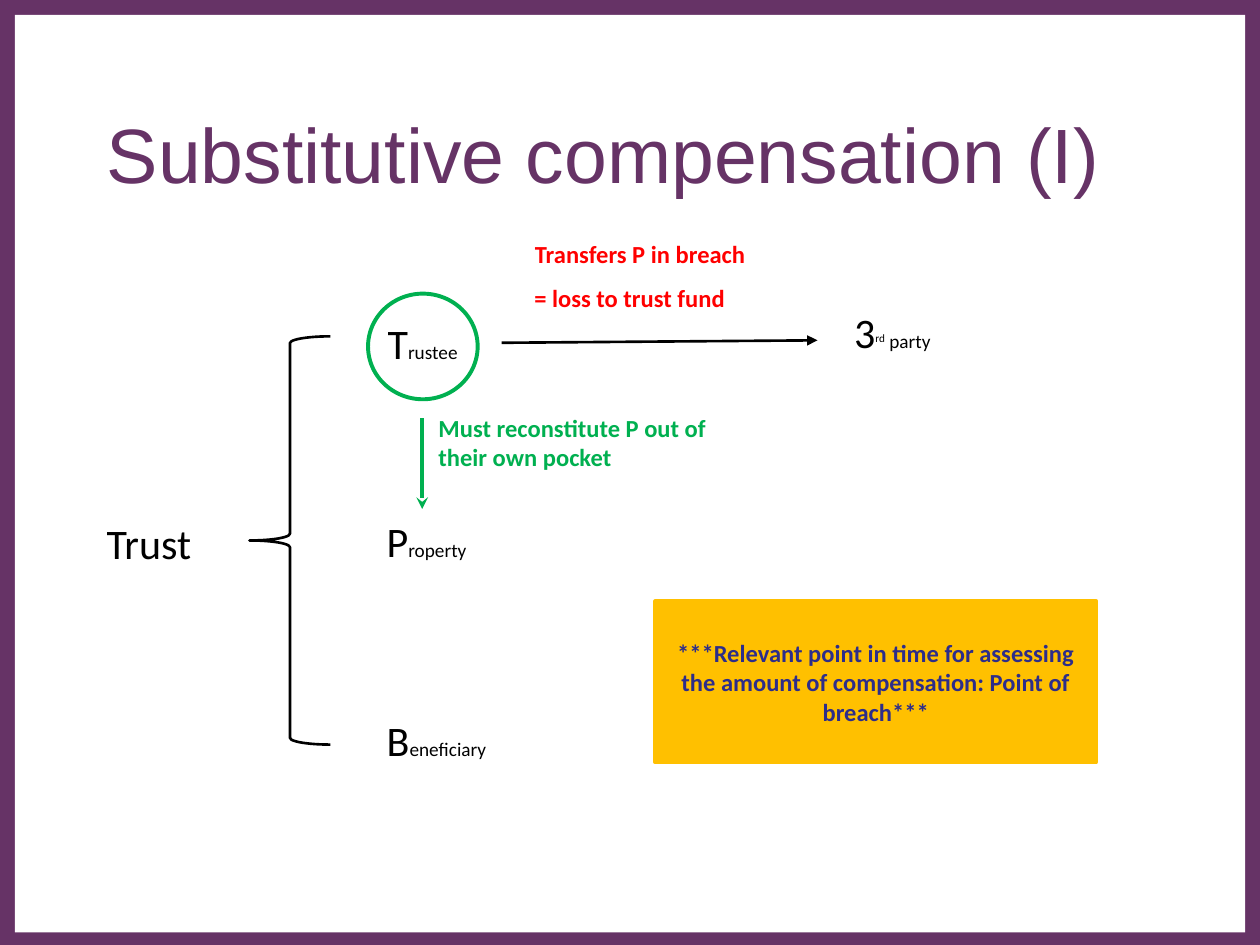
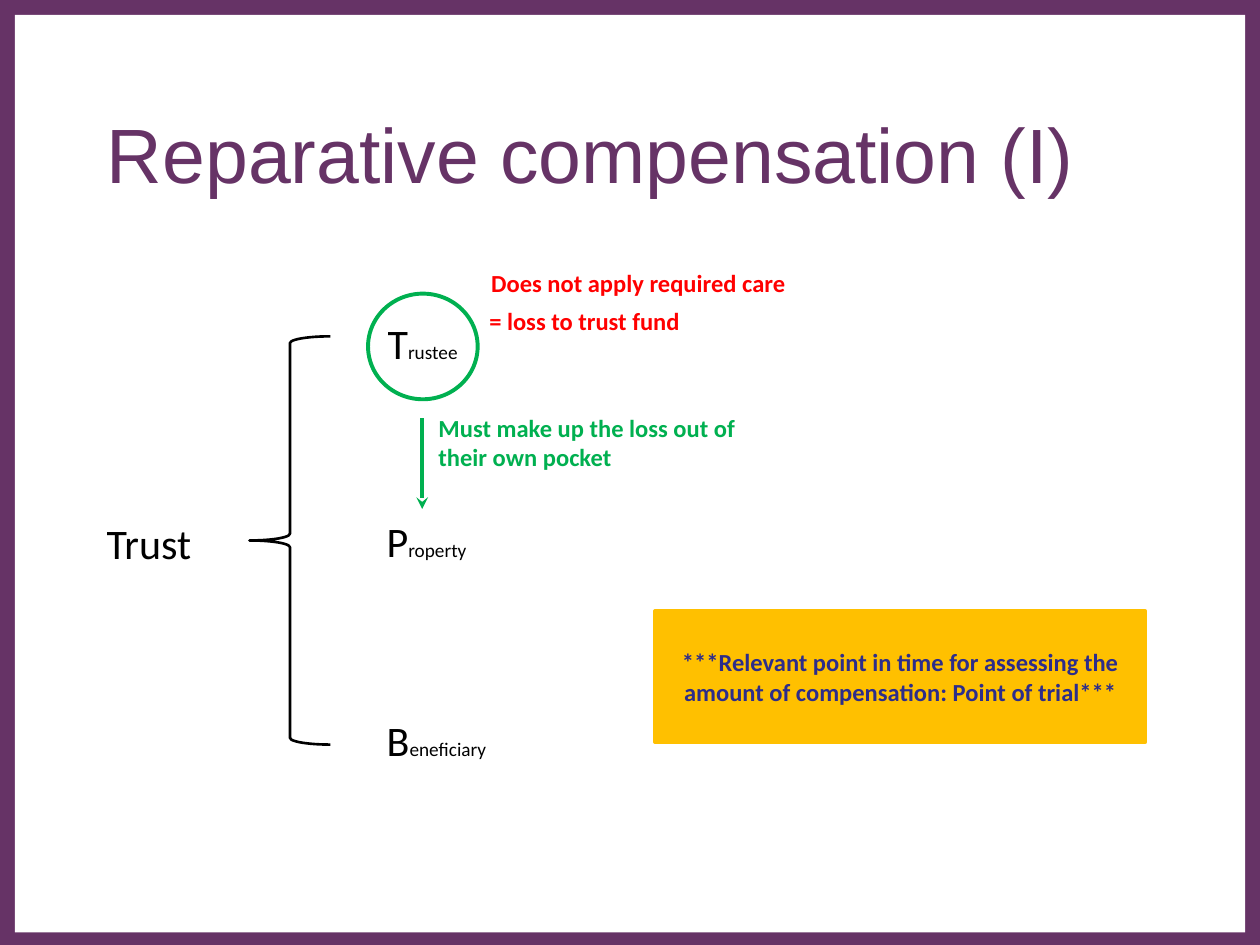
from lxml.etree import SubElement
from pptx import Presentation
from pptx.dml.color import RGBColor
from pptx.enum.shapes import MSO_CONNECTOR as Link, MSO_SHAPE as Form
from pptx.enum.text import MSO_ANCHOR as Anchor, PP_ALIGN as Align
from pptx.oxml.ns import qn
from pptx.util import Cm, Pt

PURPLE, WHITE, BLACK = "663366", "FFFFFF", "000000"
RED, GREEN, AMBER, NAVY = "FF0000", "00B050", "FFC000", "2D2D8A"
BODY, HEAD = "Calibri", "Arial"
LABEL_W, NOTE_W = 5.92, 6.55


def tint(text):
    return RGBColor.from_string(text)


def add_run(para, text, size, color, font=BODY, bold=False, raised=False):
    run = para.add_run()
    run.text = text
    face = run.font
    face.size, face.name, face.bold = Pt(size), font, bold
    face.color.rgb = tint(color)
    if raised:
        run._r.get_or_add_rPr().set("baseline", "30000")


def add_form(slide, kind, at, fill, line=None, width=2.25):
    form = slide.shapes.add_shape(kind, *map(Cm, at))
    form.shadow.inherit = False
    form.fill.solid()
    form.fill.fore_color.rgb = tint(fill)
    if line:
        form.line.color.rgb = tint(line)
        form.line.width = Pt(width)
    else:
        form.line.fill.background()
    return form


def add_box(slide, left, top, width, height, align=Align.LEFT):
    """Add a text box and return its first paragraph."""
    frame = slide.shapes.add_textbox(*map(Cm, (left, top, width, height))).text_frame
    frame.word_wrap = True
    para = frame.paragraphs[0]
    para.alignment = align
    return para


def add_label(slide, left, top, first, rest):
    """Write a large initial followed by the small rest of the word."""
    para = add_box(slide, left, top, LABEL_W, 1.27, Align.CENTER)
    add_run(para, first, 24, BLACK)
    add_run(para, rest, 11, BLACK)


def add_note(slide, left, top, text, color, width=NOTE_W, height=0.86,
             align=Align.CENTER):
    para = add_box(slide, left, top, width, height, align)
    add_run(para, text, 14, color, bold=True)


def add_arrow(slide, start, end, color, width, tip):
    arrow = slide.shapes.add_connector(Link.STRAIGHT, *map(Cm, start + end))
    arrow.line.color.rgb = tint(color)
    arrow.line.width = Pt(width)
    SubElement(arrow.line._get_or_add_ln(), qn("a:tailEnd"), type=tip)
    SubElement(arrow._element.spPr, qn("a:effectLst"))


def set_layout(layout, slide):
    """Give the layout the purple frame and the title position."""
    tree = layout.shapes._spTree
    frame = [add_form(slide, Form.RECTANGLE, (0, 0, 25.4, 19.1), PURPLE),
             add_form(slide, Form.RECTANGLE, (0.3, 0.3, 24.8, 18.5), WHITE)]
    for spot, band in enumerate(frame, 2):
        tree.insert(spot, band._element)
    title = layout.placeholders[0]
    title.left, title.top = Cm(1.9), Cm(1.7)
    title.width, title.height = Cm(21.59), Cm(2.74)


def add_title(slide, text):
    frame = slide.shapes.title.text_frame
    frame.vertical_anchor = Anchor.MIDDLE
    para = frame.paragraphs[0]
    para.alignment = Align.LEFT
    add_run(para, text, 44, PURPLE, HEAD)


def add_trust(slide, duty):
    """Draw the trust, its three parts and the trustee's duty."""
    add_form(slide, Form.OVAL, (7.42, 5.92, 2.21, 2.13), WHITE, GREEN)
    brace = add_form(slide, Form.RIGHT_BRACE, (5.03, 6.78, 1.63, 8.23),
                     WHITE, BLACK, 1.5)
    brace.rotation = 180
    add_run(add_box(slide, 1.9, 10.31, 2.46, 1.27), "Trust", 24, BLACK)
    for left, top, first, rest in ((5.56, 6.27, "T", "rustee"),
                                   (5.64, 10.26, "P", "roperty"),
                                   (5.84, 14.27, "B", "eneficiary")):
        add_label(slide, left, top, first, rest)
    add_note(slide, 8.59, 8.2, duty, GREEN, height=1.45, align=Align.LEFT)
    add_arrow(slide, (8.51, 8.43), (8.51, 10.26), GREEN, 2.25, "stealth")


def add_rule(slide, top, width, height, point):
    """Add the amber panel naming the relevant point in time."""
    panel = add_form(slide, Form.RECTANGLE, (13.21, top, width, height), AMBER, AMBER)
    frame = panel.text_frame
    frame.word_wrap = True
    frame.vertical_anchor = Anchor.MIDDLE
    para = frame.paragraphs[0]
    para.alignment = Align.CENTER
    add_run(para, "***Relevant point in time for assessing the amount of "
            f"compensation: Point of {point}***", 14, NAVY, bold=True)


def add_third(slide):
    """Draw the transfer to the third party."""
    para = add_box(slide, 16.97, 6.05, LABEL_W, 1.27)
    add_run(para, "3", 24, BLACK)
    add_run(para, "rd", 11, BLACK, raised=True)
    add_run(para, " party", 11, BLACK)
    add_arrow(slide, (10.11, 6.91), (16.48, 6.86), BLACK, 1.5, "triangle")


def main():
    deck = Presentation()
    deck.slide_width, deck.slide_height = Cm(25.4), Cm(19.05)
    layout = deck.slide_layouts[5]
    loss = "= loss to trust fund"

    swap = deck.slides.add_slide(layout)
    set_layout(layout, swap)
    add_title(swap, "Substitutive compensation (I)")
    add_trust(swap, "Must reconstitute P out of their own pocket")
    add_third(swap)
    add_note(swap, 9.63, 4.7, "Transfers P in breach", RED)
    add_note(swap, 9.42, 5.59, loss, RED)
    add_rule(swap, 12.12, 8.89, 3.25, "breach")

    repair = deck.slides.add_slide(layout)
    add_title(repair, "Reparative compensation (I)")
    add_trust(repair, "Must make up the loss out of their own pocket")
    add_note(repair, 8.97, 5.28, "Does not apply required care", RED, width=7.8)
    add_note(repair, 8.51, 6.05, loss, RED)
    add_rule(repair, 12.32, 9.88, 2.64, "trial")

    deck.save("out.pptx")


if __name__ == "__main__":
    main()
